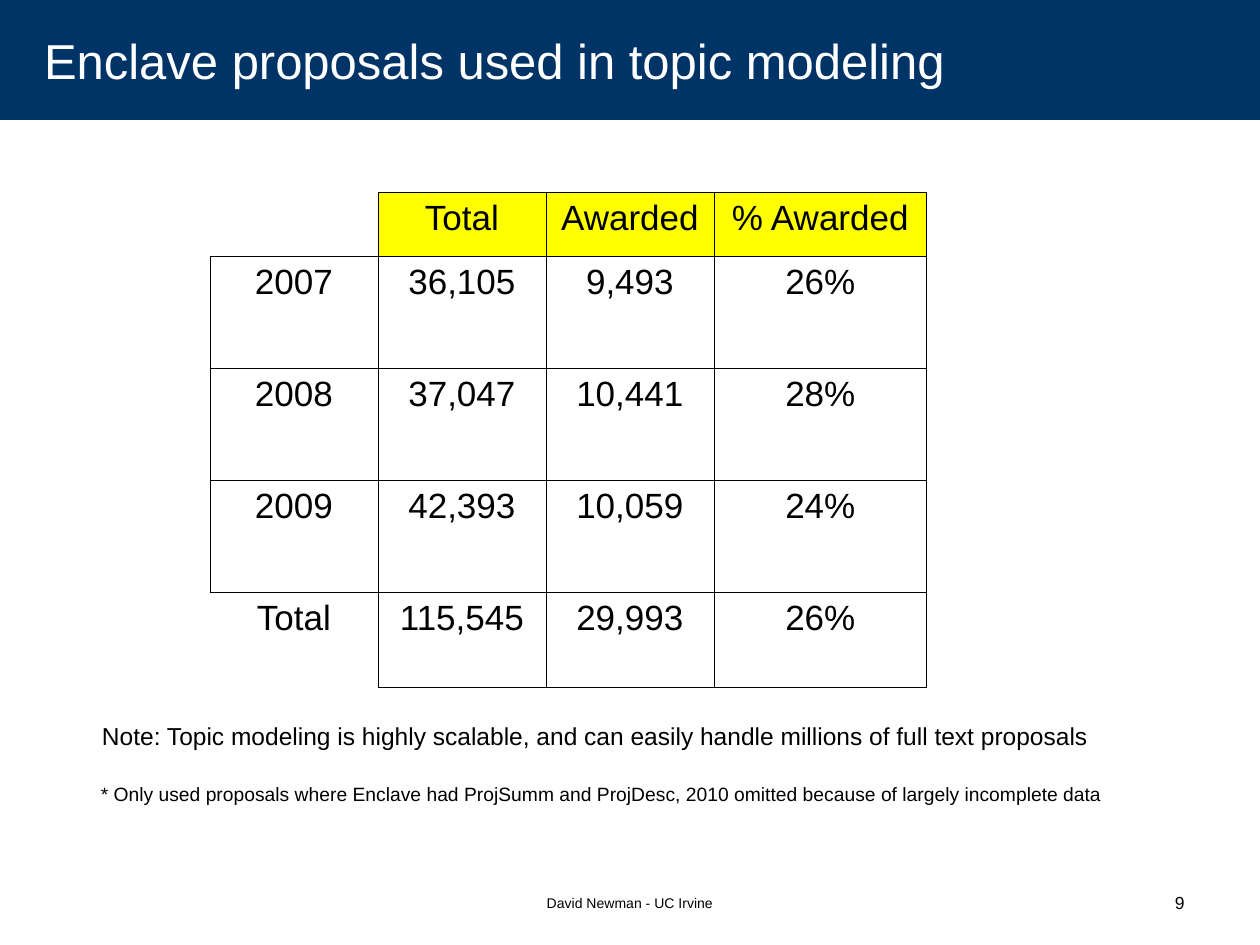
from lxml.etree import SubElement
from pptx import Presentation
from pptx.dml.color import RGBColor
from pptx.enum.shapes import MSO_SHAPE as SHAPE
from pptx.enum.text import MSO_ANCHOR as ANCHOR, PP_ALIGN as ALIGN
from pptx.oxml.ns import qn
from pptx.util import Pt

NAVY, YELLOW, WHITE, BLACK = "003366", "FFFF00", "FFFFFF", "000000"
ROWS = [
    ["", "Total", "Awarded", "% Awarded"],
    ["2007", "36,105", "9,493", "26%"],
    ["2008", "37,047", "10,441", "28%"],
    ["2009", "42,393", "10,059", "24%"],
    ["Total", "115,545", "29,993", "26%"],
]
COL_WIDTHS = [96, 96, 96, 121.68]
ROW_HEIGHTS = [36.5, 64, 64, 64, 54.5]


def color(hex_string):
    return RGBColor.from_string(hex_string)


def add_run(p, text, size, ink=BLACK):
    r = p.add_run()
    r.text = text
    r.font.size = Pt(size)
    r.font.name = "Arial"
    r.font.color.rgb = color(ink)


def add_title(slide, box, text):
    sp = slide.shapes.add_shape(SHAPE.RECTANGLE, *map(Pt, box))
    sp.shadow.inherit = False
    sp.fill.solid()
    sp.fill.fore_color.rgb = color(NAVY)
    sp.line.fill.background()
    tf = sp.text_frame
    tf.word_wrap = True
    tf.vertical_anchor = ANCHOR.MIDDLE
    tf.margin_left = Pt(25.2)
    p = tf.paragraphs[0]
    p.alignment = ALIGN.LEFT
    add_run(p, text, 28, WHITE)


def add_text(slide, box, text, size, align=ALIGN.LEFT, margins=(7.2, 3.6), spacing=None):
    tf = slide.shapes.add_textbox(*map(Pt, box)).text_frame
    tf.word_wrap = True
    tf.margin_left = tf.margin_right = Pt(margins[0])
    tf.margin_top = tf.margin_bottom = Pt(margins[1])
    p = tf.paragraphs[0]
    p.alignment = align
    p.line_spacing = spacing
    add_run(p, text, size)


def set_borders(cell, sides):
    """Draw a thin line on the given sides and none on the others."""
    tc_pr = cell._tc.get_or_add_tcPr()
    for i, side in enumerate("LRTB"):
        ln = SubElement(tc_pr, qn(f"a:ln{side}"), w=str(Pt(0.45)))
        tc_pr.insert(i, ln)
        if side in sides:
            fill = SubElement(ln, qn("a:solidFill"))
            SubElement(fill, qn("a:srgbClr"), val=BLACK)
        else:
            SubElement(ln, qn("a:noFill"))


def add_proposal_table(slide, left, top):
    box = (left, top, sum(COL_WIDTHS), sum(ROW_HEIGHTS))
    table = slide.shapes.add_table(len(ROWS), len(COL_WIDTHS), *map(Pt, box)).table
    table.first_row = table.horz_banding = False
    for col, width in zip(table.columns, COL_WIDTHS):
        col.width = Pt(width)
    for row, height in zip(table.rows, ROW_HEIGHTS):
        row.height = Pt(height)

    # The two left corner cells are open on their outer sides
    open_corners = {(0, 0): "RB", (len(ROWS) - 1, 0): "RT"}
    for i, values in enumerate(ROWS):
        for j, value in enumerate(values):
            cell = table.cell(i, j)
            if i == 0 and j > 0:
                cell.fill.solid()
                cell.fill.fore_color.rgb = color(YELLOW)
            else:
                cell.fill.background()
            set_borders(cell, open_corners.get((i, j), "LRTB"))
            if value:
                p = cell.text_frame.paragraphs[0]
                p.alignment = ALIGN.CENTER
                p.space_before = Pt(5)
                add_run(p, value, 20)


def add_notes_below(slide, left, top, width):
    note = "Note: Topic modeling is highly scalable, and can easily handle millions of full text proposals"
    footnote = ("* Only used proposals where Enclave had ProjSumm and ProjDesc, "
                "2010 omitted because of largely incomplete data")
    style = {"margins": (6.48, 3.1), "spacing": 1.04}
    add_text(slide, (left + 0.7, top, width, 20), note, 14, **style)
    add_text(slide, (left, top + 35.5, width, 20), footnote, 11, **style)


def add_footer(slide, top):
    add_text(slide, (246, top + 1.5, 228, 22), "David Newman - UC Irvine", 8, ALIGN.CENTER)
    add_text(slide, (516, top, 168, 23), "9", 10, ALIGN.RIGHT)


def main():
    prs = Presentation()
    prs.slide_width, prs.slide_height = Pt(720), Pt(540)
    slide = prs.slides.add_slide(prs.slide_layouts[6])
    add_title(slide, (0, 0, 720, 68.5), "Enclave proposals used in topic modeling")
    add_proposal_table(slide, 120, 110)
    add_notes_below(slide, 51.1, 408.2, 617)
    add_footer(slide, 506)
    prs.save("out.pptx")


if __name__ == "__main__":
    main()
